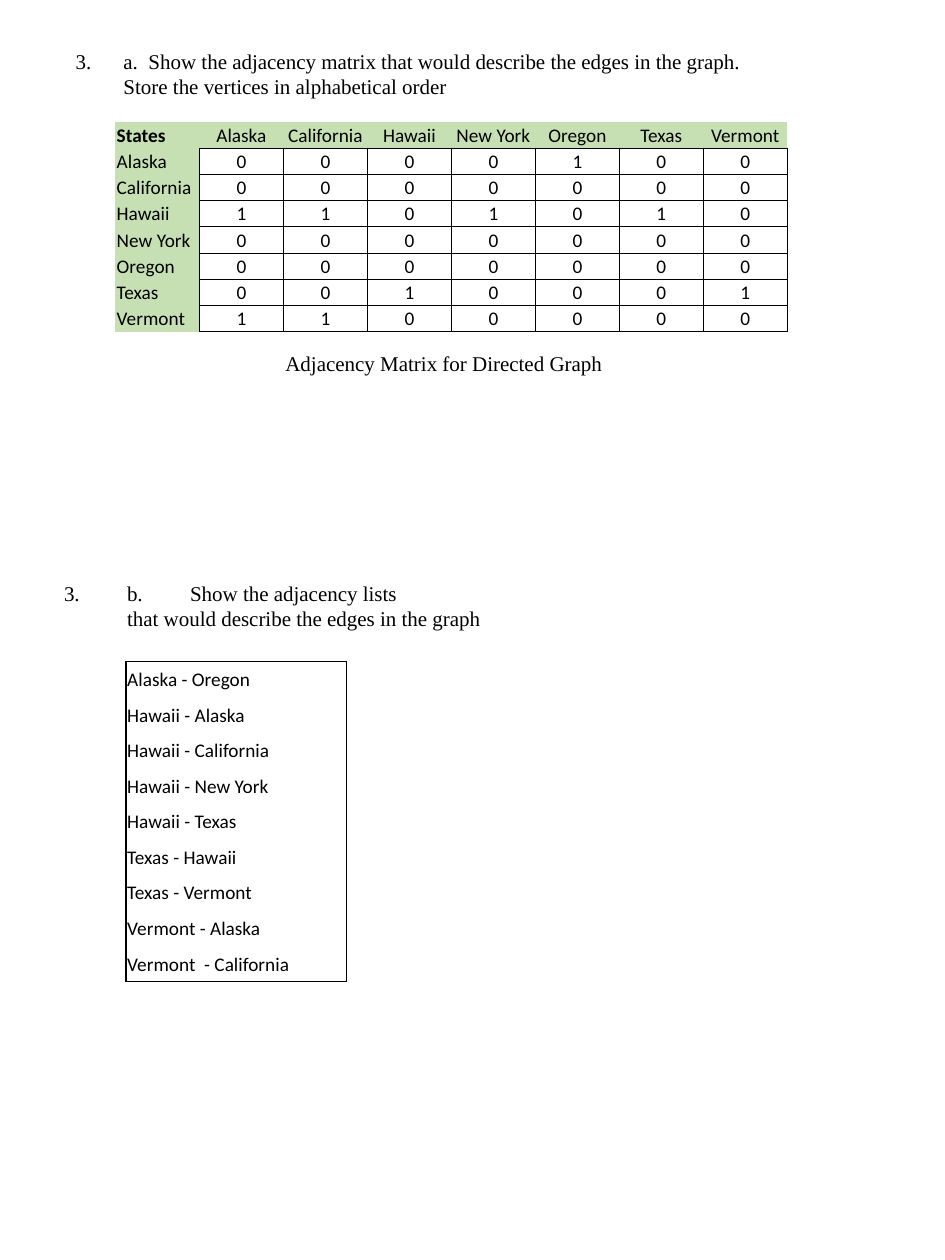
from lxml.etree import SubElement, fromstring
from pptx import Presentation
from pptx.dml.color import RGBColor
from pptx.enum.text import MSO_ANCHOR as Anchor, MSO_AUTO_SIZE as Fit, PP_ALIGN as Align
from pptx.oxml.ns import qn
from pptx.util import Inches, Pt

SERIF, SANS = "Times New Roman", "Calibri"
BLACK, GREEN = "000000", "C6E0B4"
UNIT = Inches(1) // 12

STATES = ["Alaska", "California", "Hawaii", "New York", "Oregon", "Texas", "Vermont"]
EDGES = {"Alaska": ["Oregon"], "Hawaii": ["Alaska", "California", "New York", "Texas"],
         "Texas": ["Hawaii", "Vermont"], "Vermont": ["Alaska", "California"]}
LISTS = ["Alaska - Oregon", "Hawaii - Alaska", "Hawaii - California", "Hawaii - New York",
         "Hawaii - Texas", "Texas - Hawaii", "Texas - Vermont", "Vermont - Alaska",
         "Vermont  - California"]


def color(value):
    return RGBColor.from_string(value)


def write(p, text, font=SERIF, size=12, bold=False, align=Align.LEFT, fill=BLACK):
    p.alignment = align
    p.space_before = p.space_after = Pt(0)
    r = p.add_run()
    r.text = text
    r.font.name, r.font.size, r.font.bold = font, Pt(size), bold
    r.font.color.rgb = color(fill)


def indent(p, left, first=0, number=None, tabs=()):
    pPr = p._p.get_or_add_pPr()
    pPr.set("marL", str(int(Inches(left))))
    pPr.set("indent", str(int(Inches(first))))
    if number:
        SubElement(pPr, qn("a:buFont"), typeface="+mj-lt")
        SubElement(pPr, qn("a:buAutoNum"), type="arabicPeriod", startAt=str(number))
    else:
        SubElement(pPr, qn("a:buNone"))
    if tabs:
        tab_list = SubElement(pPr, qn("a:tabLst"))
        for pos in tabs:
            SubElement(tab_list, qn("a:tab"), pos=str(int(Inches(pos))), algn="l")


class Page:
    """Draws styled elements on one slide, placed in grid units of a twelfth of an inch."""

    def __init__(self, prs):
        self.s = prs.slides.add_slide(prs.slide_layouts[1])

    def frame(self, sp, box):
        sp.left, sp.top, sp.width, sp.height = (int(v * UNIT) for v in box)
        tf = sp.text_frame
        tf.word_wrap = True
        tf.auto_size = Fit.SHAPE_TO_FIT_TEXT
        tf.vertical_anchor = Anchor.TOP
        return tf

    def title(self, text, box, number):
        p = self.frame(self.s.shapes.title, box).paragraphs[0]
        write(p, text)
        indent(p, 0.38, -0.38, number)

    def body(self, lines, box, left, tabs):
        tf = self.frame(self.s.placeholders[1], box)
        for i, text in enumerate(lines):
            p = tf.paragraphs[0] if i == 0 else tf.add_paragraph()
            write(p, text)
            indent(p, left, 0 if i else -left, tabs=tabs)

    def caption(self, text, box):
        sp = self.s.shapes.add_textbox(0, 0, UNIT, UNIT)
        write(self.frame(sp, box).paragraphs[0], text)

    def table(self, rows, box, look):
        x, y, w, h = (int(v * UNIT) for v in box)
        table = self.s.shapes.add_table(len(rows), len(rows[0]), x, y, w, h).table
        table.first_row = table.horz_banding = False
        for row in table.rows:
            row.height = h // len(rows)
        for r, row in enumerate(rows):
            for c, text in enumerate(row):
                self.cell(table.cell(r, c), text, **look(r, c))

    def cell(self, cell, text, sides, width, fill=None, **style):
        cell.margin_left = cell.margin_right = cell.margin_top = Inches(0.01)
        cell.margin_bottom = 0
        cell.vertical_anchor = Anchor.MIDDLE
        write(cell.text_frame.paragraphs[0], text, font=SANS, size=11, **style)
        if fill:
            cell.fill.solid()
            cell.fill.fore_color.rgb = color(fill)
        else:
            cell.fill.background()
        tcPr = cell._tc.get_or_add_tcPr()
        for i, side in enumerate("LRTB"):
            paint = (f'<a:solidFill><a:srgbClr val="{BLACK}"/></a:solidFill>'
                     if side in sides else "<a:noFill/>")
            tcPr.insert(i, fromstring(
                f'<a:ln{side} xmlns:a="http://schemas.openxmlformats.org/drawingml/2006/main" '
                f'w="{int(Pt(width))}">{paint}</a:ln{side}>'))


def matrix_look(r, c):
    head = r == 0 or c == 0
    sides = "LRTB" if not head else "B" if c else "R" if r else ""
    return dict(sides=sides, width=0.5, fill=GREEN if head else None,
                bold=r == c == 0, align=Align.CENTER if c else Align.LEFT)


def list_look(r, c):
    ends = {0: "T", len(LISTS) - 1: "B"}
    return dict(sides="LR" + ends.get(r, ""), width=1)


def main():
    prs = Presentation()
    prs.slide_width, prs.slide_height = 90 * UNIT, 120 * UNIT
    page = Page(prs)
    page.title("a.  Show the adjacency matrix that would describe the edges in the graph. "
               "Store the vertices in alphabetical order", (6, 4, 70, 6), number=3)
    matrix = [["States", *STATES]]
    for start in STATES:
        matrix.append([start, *(str(int(end in EDGES.get(start, []))) for end in STATES)])
    page.table(matrix, (11, 11.6, 64, 20), matrix_look)
    page.caption("Adjacency Matrix for Directed Graph", (26, 32.75, 38, 3.6))
    page.body(["3.\tb.\tShow the adjacency lists",
               "that would describe the edges in the graph"],
              (4.9, 54.7, 43, 6), left=0.5, tabs=(0.25, 0.5))
    page.table([[text] for text in LISTS], (12, 63, 21, 30.5), list_look)
    prs.save("out.pptx")


if __name__ == "__main__":
    main()
